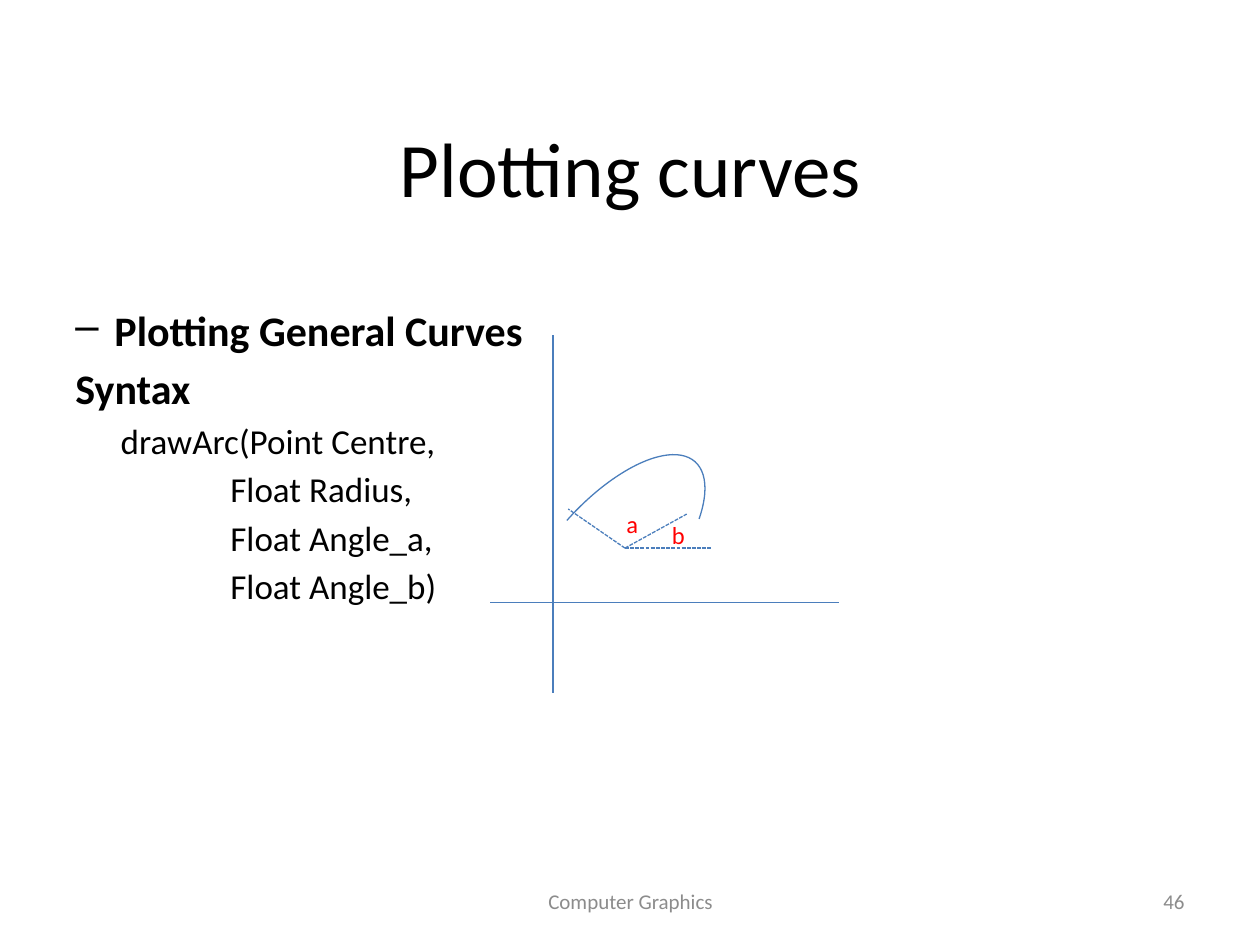
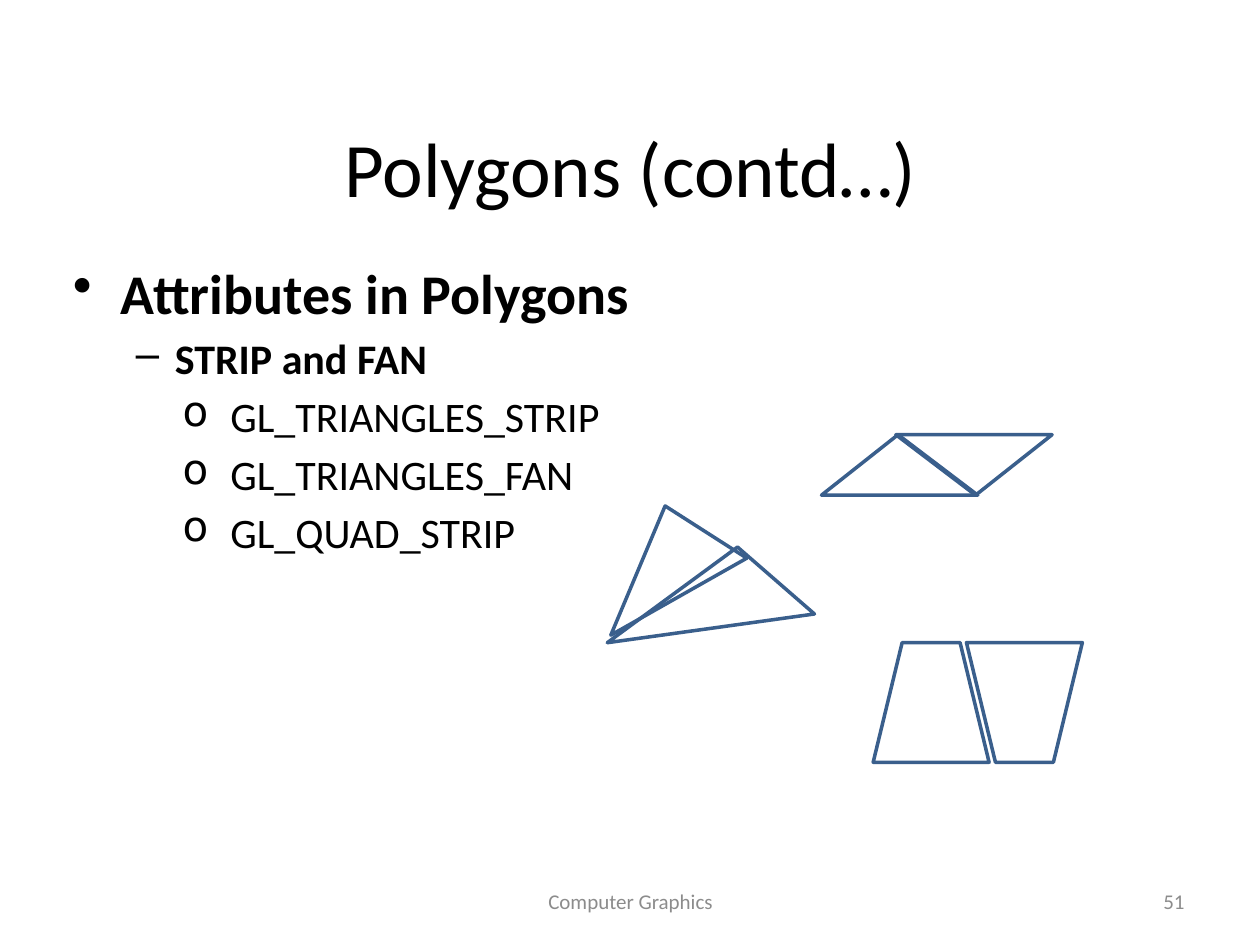
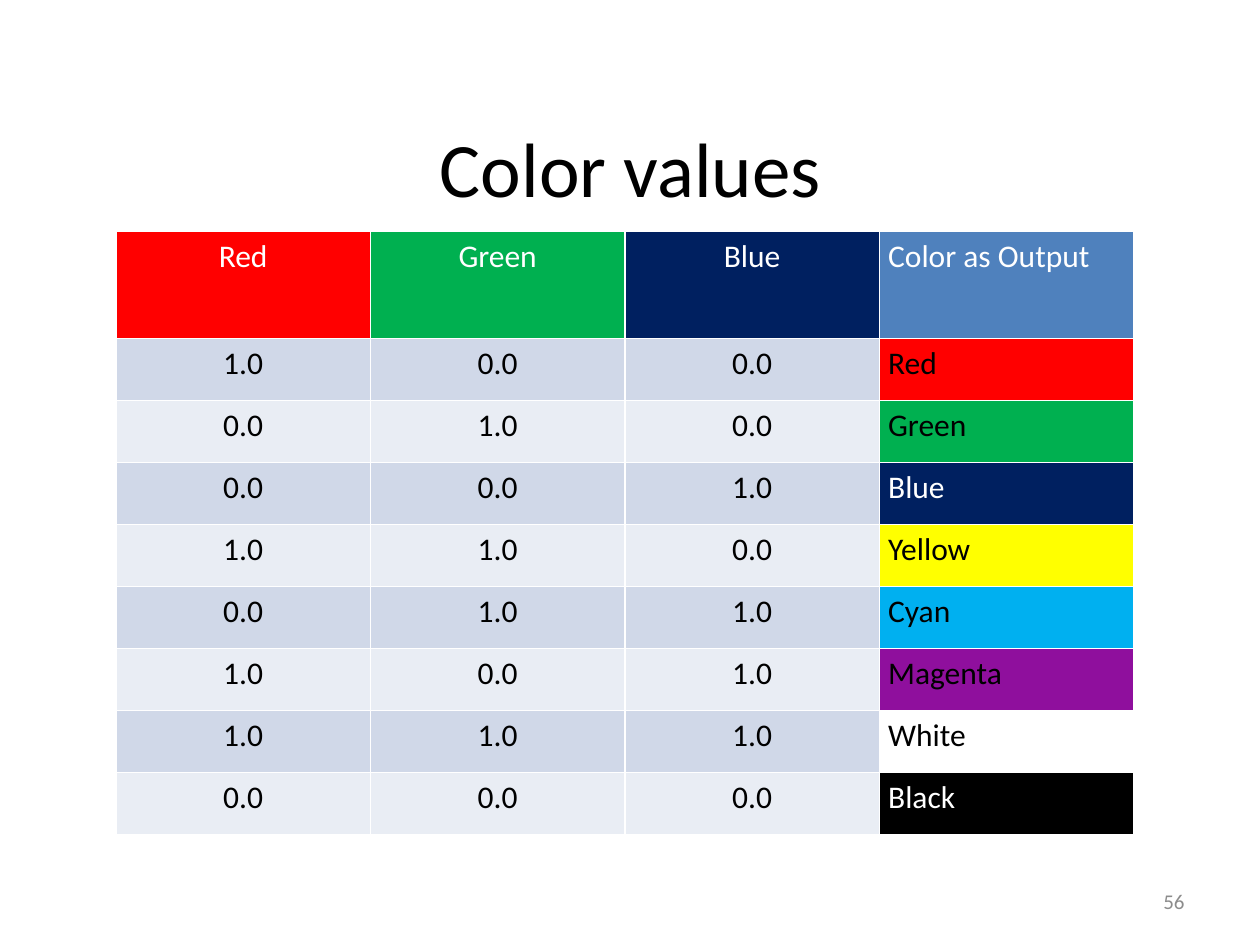
import dataclasses
import typing

import lxml.etree
import pptx
import pptx.dml.color
import pptx.enum.dml
import pptx.enum.shapes
import pptx.enum.text
import pptx.oxml.ns
import pptx.util

ALIGN = pptx.enum.text.PP_ALIGN
ANCHOR = pptx.enum.text.MSO_ANCHOR
SHAPE = pptx.enum.shapes.MSO_SHAPE
STRAIGHT = pptx.enum.shapes.MSO_CONNECTOR.STRAIGHT
SYS_DASH = pptx.enum.dml.MSO_LINE.SQUARE_DOT
qn = pptx.oxml.ns.qn

SLIDE_W = pptx.util.Inches(10)
SLIDE_H = pptx.util.Inches(7.5)
COLS, ROWS = 100, 75


@dataclasses.dataclass(frozen=True)
class Theme:
    font: str = "Calibri"
    ink: str = "000000"
    paper: str = "FFFFFF"
    muted: str = "8C8C8C"
    label: str = "FF0000"
    curve: str = "4B7EBC"
    outline: str = "3A5F8C"
    red: str = "FF0000"
    green: str = "00B050"
    navy: str = "002060"
    accent: str = "4F81BD"
    yellow: str = "FFFF00"
    cyan: str = "00B0F0"
    magenta: str = "8F0F9D"
    bands: tuple[str, str] = ("D0D8E8", "E9EDF4")
    title_size: float = 44
    heading_size: float = 32
    body_size: float = 24
    code_size: float = 20
    table_size: float = 18
    label_size: float = 14
    footer_size: float = 12
    thin: float = 0.75
    thick: float = 2
    border: float = 1
    space_before: float = 0.18


THEME = Theme()


class Box(typing.NamedTuple):
    col: float
    row: float
    cols: float
    rows: float


class Style(typing.NamedTuple):
    size: float
    color: str = THEME.ink
    bold: bool = False


class Item(typing.NamedTuple):
    text: str
    style: Style
    level: int = 0
    left: float = 0
    hang: float = 0
    bullet: str = ""


class Segment(typing.NamedTuple):
    start: tuple[float, float]
    end: tuple[float, float]
    dashed: bool = False


class Figure(typing.NamedTuple):
    kind: typing.Any
    box: Box
    rotation: float = 0
    adjustments: tuple[float, ...] = ()


class Swatch(typing.NamedTuple):
    name: str
    rgb: tuple[int, int, int]
    fill: str
    ink: str = THEME.ink


TITLE = Box(4.8, 7.7, 90.5, 11.1)
FOOTER = Box(34.2, 69.5, 31.7, 4)
NUMBER = Box(71.7, 69.5, 23.3, 4)
FOOTER_STYLE = Style(THEME.footer_size, THEME.muted)
HEADING = Style(THEME.heading_size, bold=True)
STRONG = Style(THEME.body_size, bold=True)
BODY = Style(THEME.body_size)
CODE = Style(THEME.code_size)

CURVE_TEXT = [
    Item("Plotting General Curves", STRONG, 1, 3.3, -3.1, "–"),
    Item("Syntax", STRONG, 1, 0.2),
    Item("drawArc(Point Centre,", CODE, 2, 3.8),
    *(Item(text, CODE, 2, 12.5)
      for text in ("Float Radius,", "Float Angle_a,", "Float Angle_b)")),
]
POLYGON_TEXT = [
    Item("Attributes in Polygons", HEADING, 0, 3.8, -3.8, "•"),
    Item("STRIP and FAN", STRONG, 1, 8.1, -3.1, "–"),
    *(Item(text, BODY, 3, 12.5, -3.8, "o")
      for text in ("GL_TRIANGLES_STRIP", "GL_TRIANGLES_FAN", "GL_QUAD_STRIP")),
]

ARC = Figure(SHAPE.ARC, Box(38.1, 39.8, 20.5, 9), 311.7, (162, 14.84))
AXES = [Segment((43.9, 26.6), (43.9, 55)), Segment((38.9, 47.8), (66.6, 47.8))]
CENTRE = (49.6, 43.5)
RAYS = [Segment(CENTRE, end, True) for end in ((56.5, 43.5), (54.5, 40.8), (45.1, 40.4))]
ANGLES = {"a": Box(48.9, 40.9, 1.8, 1.4), "b": Box(52.5, 41.7, 1.8, 1.4)}

TRIANGLE_STRIP = [
    Figure(SHAPE.ISOSCELES_TRIANGLE, Box(65.2 + 5.9 * i, 34.5, 12.4, 4.8), 180 * i, (0.49,))
    for i in range(2)
]
TRIANGLE_FAN = [
    Figure(SHAPE.ISOSCELES_TRIANGLE, Box(46, 41, 12.4, 6.8), 330.5, (0.71,)),
    Figure(SHAPE.ISOSCELES_TRIANGLE, Box(47.7, 43.8, 16.6, 6.1), 352.1, (0.68,)),
]
QUAD_STRIP = [
    Figure(SHAPE.TRAPEZOID, Box(69.3 + 7.4 * i, 51, 9.2, 9.5), 180 * i) for i in range(2)
]

TABLE = Box(9.2, 18.35, 80.8, 47.9)
HEADER_ROWS = 8.5
HEADER = [("Red", THEME.red), ("Green", THEME.green), ("Blue", THEME.navy),
          ("Color as Output", THEME.accent)]
SWATCHES = [
    Swatch("Red", (1, 0, 0), THEME.red),
    Swatch("Green", (0, 1, 0), THEME.green),
    Swatch("Blue", (0, 0, 1), THEME.navy, THEME.paper),
    Swatch("Yellow", (1, 1, 0), THEME.yellow),
    Swatch("Cyan", (0, 1, 1), THEME.cyan),
    Swatch("Magenta", (1, 0, 1), THEME.magenta),
    Swatch("White", (1, 1, 1), THEME.paper),
    Swatch("Black", (0, 0, 0), THEME.ink, THEME.paper),
]


def x(cols: float) -> int:
    return round(SLIDE_W * cols / COLS)


def y(rows: float) -> int:
    return round(SLIDE_H * rows / ROWS)


def frame(box: Box) -> tuple[int, int, int, int]:
    return x(box.col), y(box.row), x(box.cols), y(box.rows)


def rgb(color: str) -> pptx.dml.color.RGBColor:
    return pptx.dml.color.RGBColor.from_string(color)


def add_run(p: typing.Any, text: str, style: Style, align: typing.Any = ALIGN.LEFT) -> None:
    p.alignment = align
    r = p.add_run()
    r.text = text
    r.font.name = THEME.font
    r.font.size = pptx.util.Pt(style.size)
    r.font.bold = style.bold
    r.font.color.rgb = rgb(style.color)


def add_label(slide: typing.Any, box: Box, text: str, style: Style, align: typing.Any) -> None:
    tf = slide.shapes.add_textbox(*frame(box)).text_frame
    tf.word_wrap = True
    tf.vertical_anchor = ANCHOR.MIDDLE
    add_run(tf.paragraphs[0], text, style, align)


def add_body(slide: typing.Any, box: Box, items: list[Item]) -> None:
    tf = slide.shapes.add_textbox(*frame(box)).text_frame
    tf.word_wrap = True
    for i, item in enumerate(items):
        p = tf.add_paragraph() if i else tf.paragraphs[0]
        p.level = item.level
        p.space_before = pptx.util.Pt(item.style.size * THEME.space_before)
        add_run(p, item.text, item.style)
        props = p._p.get_or_add_pPr()
        props.set("marL", str(x(item.left)))
        props.set("indent", str(x(item.hang)))
        if item.bullet:
            lxml.etree.SubElement(props, qn("a:buChar"), char=item.bullet)


def add_segment(shapes: typing.Any, segment: Segment) -> None:
    (x1, y1), (x2, y2) = segment.start, segment.end
    line = shapes.add_connector(STRAIGHT, x(x1), y(y1), x(x2), y(y2))
    line.line.color.rgb = rgb(THEME.curve)
    line.line.width = pptx.util.Pt(THEME.thin)
    if segment.dashed:
        line.line.dash_style = SYS_DASH
    lxml.etree.SubElement(line._element.spPr, qn("a:effectLst"))


def add_figure(shapes: typing.Any, figure: Figure, color: str, width: float) -> None:
    sp = shapes.add_shape(figure.kind, *frame(figure.box))
    for i, value in enumerate(figure.adjustments):
        sp.adjustments[i] = value
    sp.rotation = figure.rotation
    sp.shadow.inherit = False
    sp.fill.background()
    sp.line.color.rgb = rgb(color)
    sp.line.width = pptx.util.Pt(width)


def fill_cell(cell: typing.Any, text: str, fill: str, ink: str, align: typing.Any) -> None:
    cell.margin_left = cell.margin_right = x(0.7)
    cell.margin_top = cell.margin_bottom = y(0.5)
    props = cell._tc.get_or_add_tcPr()
    for side in "LRTB":
        ln = lxml.etree.SubElement(props, qn(f"a:ln{side}"), w=str(pptx.util.Pt(THEME.border)))
        solid = lxml.etree.SubElement(ln, qn("a:solidFill"))
        lxml.etree.SubElement(solid, qn("a:srgbClr"), val=THEME.paper)
    cell.fill.solid()
    cell.fill.fore_color.rgb = rgb(fill)
    add_run(cell.text_frame.paragraphs[0], text, Style(THEME.table_size, ink), align)


def add_slide(prs: typing.Any, title: str, number: int, footer: str = "") -> typing.Any:
    slide = prs.slides.add_slide(prs.slide_layouts.get_by_name("Title Only"))
    sp = slide.shapes.title
    sp.left, sp.top, sp.width, sp.height = frame(TITLE)
    tf = sp.text_frame
    tf.vertical_anchor = ANCHOR.MIDDLE
    add_run(tf.paragraphs[0], title, Style(THEME.title_size), ALIGN.CENTER)
    add_label(slide, NUMBER, str(number), FOOTER_STYLE, ALIGN.RIGHT)
    if footer:
        add_label(slide, FOOTER, footer, FOOTER_STYLE, ALIGN.CENTER)
    return slide


def build_curves(prs: typing.Any) -> None:
    slide = add_slide(prs, "Plotting curves", 46, "Computer Graphics")
    add_body(slide, Box(4.8, 23.7, 90.5, 40.2), CURVE_TEXT)
    add_figure(slide.shapes, ARC, THEME.curve, THEME.thin)
    axes = slide.shapes.add_group_shape().shapes
    for axis in AXES:
        add_segment(axes, axis)
    for ray in RAYS:
        add_segment(slide.shapes, ray)
    for text, box in ANGLES.items():
        add_label(slide, box, text, Style(THEME.label_size, THEME.label), ALIGN.CENTER)


def build_polygons(prs: typing.Any) -> None:
    slide = add_slide(prs, "Polygons (contd…)", 51, "Computer Graphics")
    add_body(slide, Box(4.8, 20, 90.5, 47.5), POLYGON_TEXT)
    for figures in (TRIANGLE_STRIP, TRIANGLE_FAN, QUAD_STRIP):
        group = slide.shapes.add_group_shape().shapes
        for figure in figures:
            add_figure(group, figure, THEME.outline, THEME.thick)


def build_colors(prs: typing.Any) -> None:
    slide = add_slide(prs, "Color values", 56)
    shape = slide.shapes.add_table(len(SWATCHES) + 1, len(HEADER), *frame(TABLE))
    table = shape.table
    for row in table.rows:
        row.height = y((TABLE.rows - HEADER_ROWS) / len(SWATCHES))
    table.rows[0].height = y(HEADER_ROWS)
    aligns = [ALIGN.CENTER] * 3 + [ALIGN.LEFT]
    for c, (text, fill) in enumerate(HEADER):
        fill_cell(table.cell(0, c), text, fill, THEME.paper, aligns[c])
    for i, swatch in enumerate(SWATCHES):
        for c, value in enumerate(swatch.rgb):
            fill_cell(table.cell(i + 1, c), f"{value:.1f}", THEME.bands[i % 2],
                      THEME.ink, aligns[c])
        fill_cell(table.cell(i + 1, 3), swatch.name, swatch.fill, swatch.ink, aligns[3])


def main() -> None:
    prs = pptx.Presentation()
    prs.slide_width, prs.slide_height = SLIDE_W, SLIDE_H
    build_curves(prs)
    build_polygons(prs)
    build_colors(prs)
    prs.save("out.pptx")


if __name__ == "__main__":
    main()
